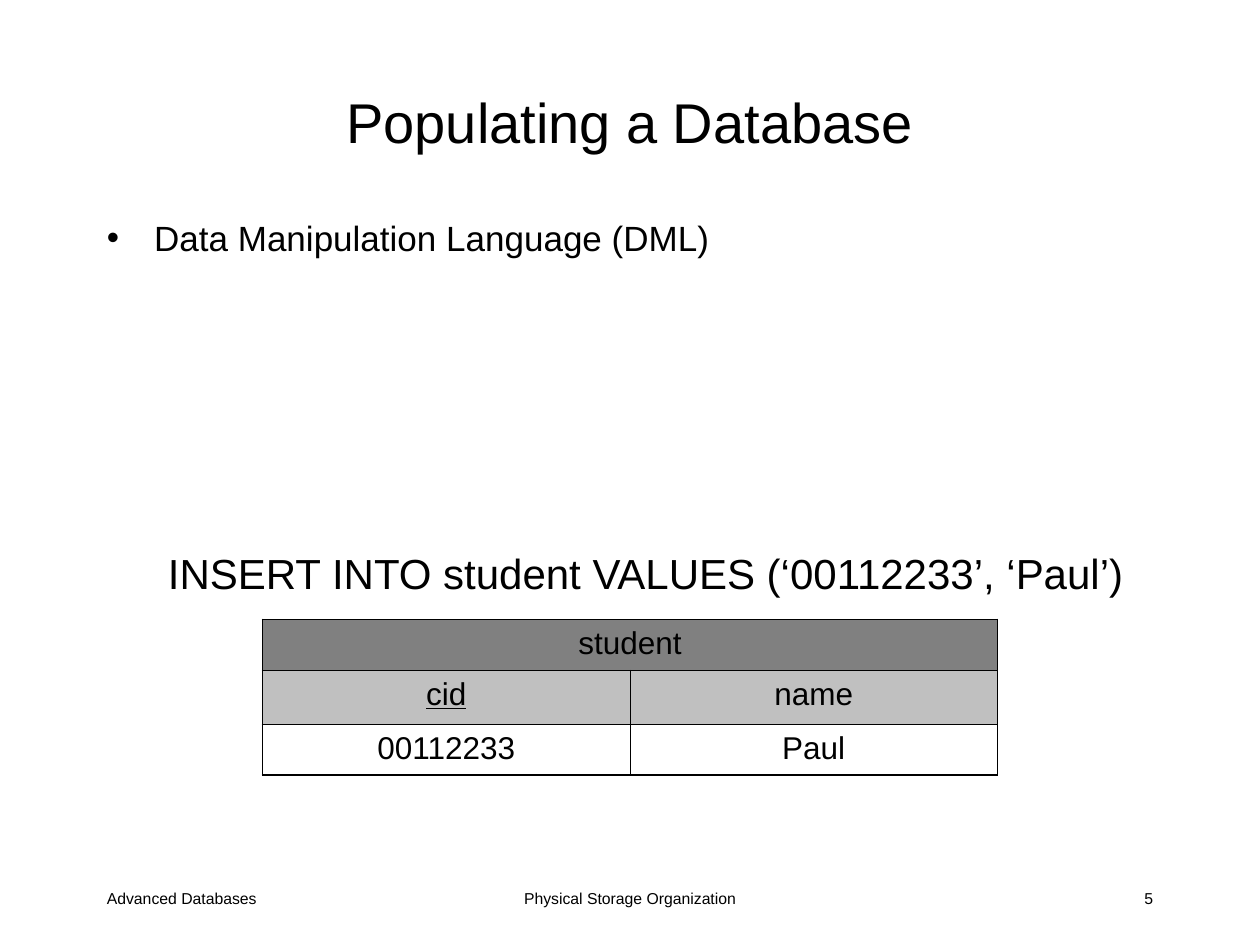
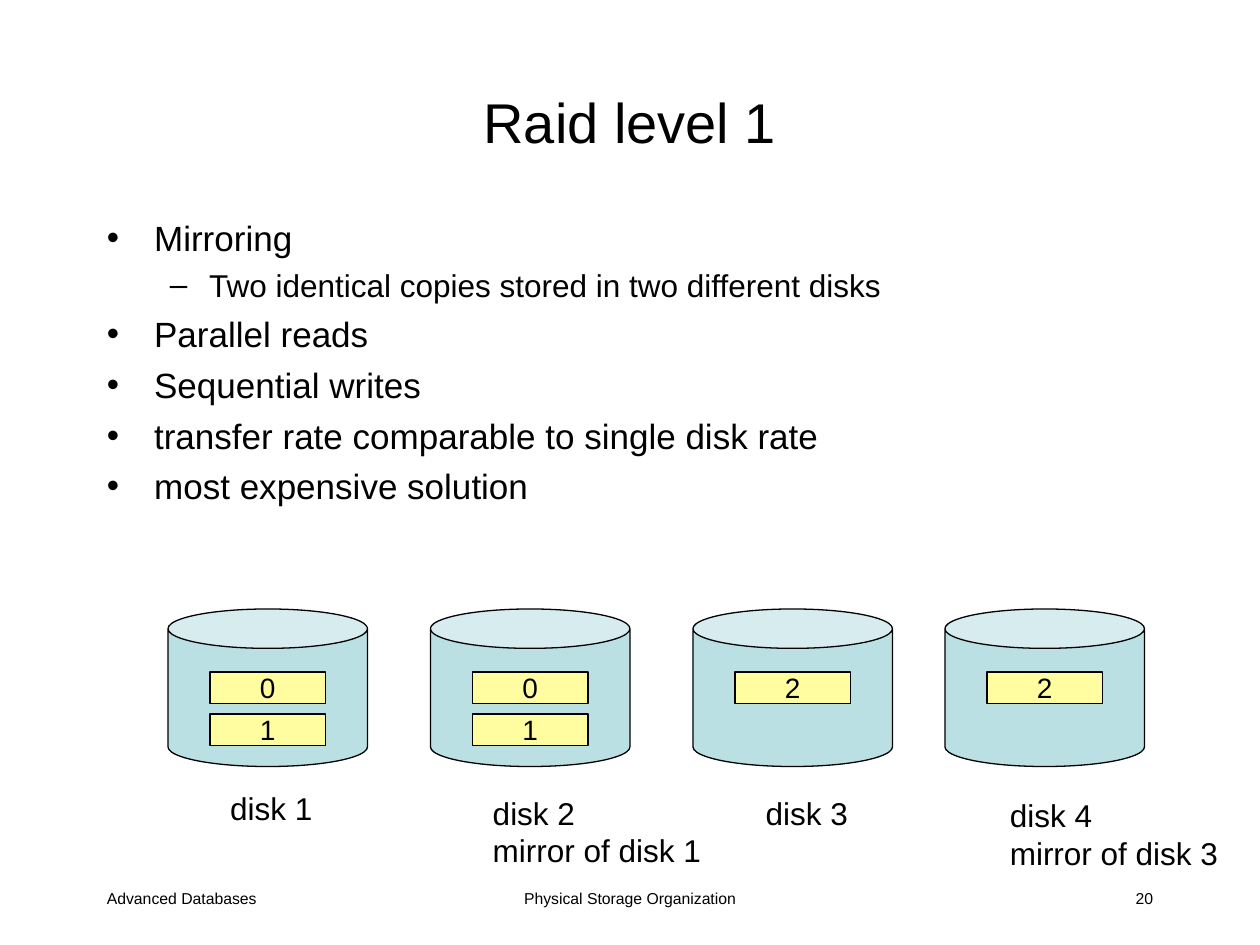
from lxml import etree
from pptx import Presentation
from pptx.dml.color import RGBColor
from pptx.enum import shapes, text
from pptx.oxml import ns
from pptx.util import Pt

# Content
COURSE = "Advanced Databases"
TOPIC = "Physical Storage Organization"

POPULATING = {
    "title": "Populating a Database",
    "number": 5,
    "points": [(0, "Data Manipulation Language (DML)")],
}
INSERT_STATEMENT = "INSERT INTO student VALUES (‘00112233’, ‘Paul’)"
STUDENT_ROWS = [["student", ""], ["cid", "name"], ["00112233", "Paul"]]
KEY_COLUMN = "cid"

RAID = {
    "title": "Raid level 1",
    "number": 20,
    "points": [
        (0, "Mirroring"),
        (1, "Two identical copies stored in two different disks"),
        (0, "Parallel reads"),
        (0, "Sequential writes"),
        (0, "transfer rate comparable to single disk rate"),
        (0, "most expensive solution"),
    ],
}
# Disk left edge, stored blocks, label lines, label box (left, top, width, height)
DISKS = [
    (96, ["0", "1"], ["disk 1"], (124.5, 447.4, 64, 29)),
    (246, ["0", "1"], ["disk 2", "mirror of disk 1"], (274.5, 450, 138, 50.5)),
    (396, ["2"], ["disk 3"], (430.5, 450, 64, 29)),
    (540, ["2"], ["disk 4", "mirror of disk 3"], (570, 451.5, 138, 50.5)),
]

# Shared look
FONT = "Arial"
COLOURS = {
    "ink": "000000",
    "table_title": "808080",
    "table_head": "C0C0C0",
    "disk": "BBE0E3",
    "block": "FFFDA0",
}
ROW_FILLS = ["table_title", "table_head", None]
ROW_HEIGHTS = [29, 31, 29]
# Bullet sign, left margin, hanging indent, space before, text size
LEVELS = [("•", 27, 27, 5, 20), ("–", 58.5, 22.5, 4.5, 18)]
MARGIN, CONTENT_WIDTH = 54, 612
FOOTER_TOP, FOOTER_HEIGHT = 504.4, 24
LEFT, CENTRE, RIGHT = text.PP_ALIGN.LEFT, text.PP_ALIGN.CENTER, text.PP_ALIGN.RIGHT
TOP, MIDDLE = text.MSO_ANCHOR.TOP, text.MSO_ANCHOR.MIDDLE


def colour(name):
    return RGBColor.from_string(COLOURS[name])


def add_run(paragraph, words, size, align=LEFT):
    paragraph.alignment = align
    run = paragraph.add_run()
    run.text = words
    run.font.name, run.font.size = FONT, Pt(size)
    run.font.color.rgb = colour("ink")
    return run


def write_lines(frame, lines, size, align=LEFT, anchor=TOP, wrap=True):
    frame.word_wrap, frame.vertical_anchor = wrap, anchor
    for i, line in enumerate(lines):
        paragraph = frame.add_paragraph() if i else frame.paragraphs[0]
        add_run(paragraph, line, size, align)


def add_words(slide, box, lines, size, **style):
    frame = slide.shapes.add_textbox(*map(Pt, box)).text_frame
    write_lines(frame, lines, size, **style)
    return frame


def add_outlined(slide, kind, box, fill):
    shape = slide.shapes.add_shape(kind, *map(Pt, box))
    shape.shadow.inherit = False
    shape.fill.solid()
    shape.fill.fore_color.rgb = colour(fill)
    shape.line.color.rgb = colour("ink")
    shape.line.width = Pt(0.75)
    return shape


def add_points(slide, points):
    frame = add_words(slide, (MARGIN, 120, CONTENT_WIDTH, 372), [], 0)
    for i, (level, words) in enumerate(points):
        sign, margin, hanging, before, size = LEVELS[level]
        paragraph = frame.add_paragraph() if i else frame.paragraphs[0]
        paragraph.level = level
        paragraph.space_before = Pt(before)
        add_run(paragraph, words, size)
        properties = paragraph._p.get_or_add_pPr()
        properties.set("marL", str(Pt(margin)))
        properties.set("indent", str(-Pt(hanging)))
        etree.SubElement(properties, ns.qn("a:buFont"), typeface=FONT)
        etree.SubElement(properties, ns.qn("a:buChar"), char=sign)


def add_page(deck, page):
    slide = deck.slides.add_slide(deck.slide_layouts[6])
    footers = [(MARGIN, 150, COURSE, LEFT), (246, 228, TOPIC, CENTRE),
               (516, 150, str(page["number"]), RIGHT)]
    for left, width, words, align in footers:
        add_words(slide, (left, FOOTER_TOP, width, FOOTER_HEIGHT), [words], 9, align=align)
    add_words(slide, (MARGIN, 24, CONTENT_WIDTH, 90), [page["title"]], 32,
              align=CENTRE, anchor=MIDDLE)
    add_points(slide, page["points"])
    return slide


def add_borders(cell, widths):
    properties = cell._tc.get_or_add_tcPr()
    for side, width in widths.items():
        line = etree.SubElement(properties, ns.qn("a:ln" + side), w=str(Pt(width)))
        solid = etree.SubElement(line, ns.qn("a:solidFill"))
        etree.SubElement(solid, ns.qn("a:srgbClr"), val=COLOURS["ink"])


def add_student_table(slide):
    rows, columns = len(STUDENT_ROWS), len(STUDENT_ROWS[0])
    table = slide.shapes.add_table(rows, columns, Pt(150), Pt(354), Pt(420),
                                   Pt(sum(ROW_HEIGHTS))).table
    for r, values in enumerate(STUDENT_ROWS):
        table.rows[r].height = Pt(ROW_HEIGHTS[r])
        for c, value in enumerate(values):
            cell = table.cell(r, c)
            # Thick outer frame, thin inner rules
            outer = {"L": c == 0, "R": c == columns - 1, "T": r == 0, "B": r == rows - 1}
            add_borders(cell, {side: 1.08 if edge else 0.45 for side, edge in outer.items()})
            if ROW_FILLS[r]:
                cell.fill.solid()
                cell.fill.fore_color.rgb = colour(ROW_FILLS[r])
            else:
                cell.fill.background()
            if value:
                run = add_run(cell.text_frame.paragraphs[0], value, 18, CENTRE)
                run.font.bold = False
                run.font.underline = value == KEY_COLUMN
    table.cell(0, 0).merge(table.cell(0, columns - 1))


def add_disk(slide, left, blocks, label, label_box):
    add_outlined(slide, shapes.MSO_SHAPE.CAN, (left, 348, 114, 90), "disk")
    for i, block in enumerate(blocks):
        box = (left + 24, 384 + 24 * i, 66, 18)
        shape = add_outlined(slide, shapes.MSO_SHAPE.RECTANGLE, box, "block")
        write_lines(shape.text_frame, [block], 16, CENTRE, MIDDLE, wrap=False)
    frame = add_words(slide, label_box, label, 18, wrap=False)
    frame.auto_size = text.MSO_AUTO_SIZE.SHAPE_TO_FIT_TEXT


def main():
    deck = Presentation()
    deck.slide_width, deck.slide_height = Pt(720), Pt(540)

    # Populating a database
    populating = add_page(deck, POPULATING)
    add_student_table(populating)
    add_words(populating, (72, 306, 594, 42), [INSERT_STATEMENT], 24,
              align=CENTRE, anchor=MIDDLE, wrap=False)

    # Mirrored disks
    raid = add_page(deck, RAID)
    for disk in DISKS:
        add_disk(raid, *disk)

    deck.save("out.pptx")


if __name__ == "__main__":
    main()
